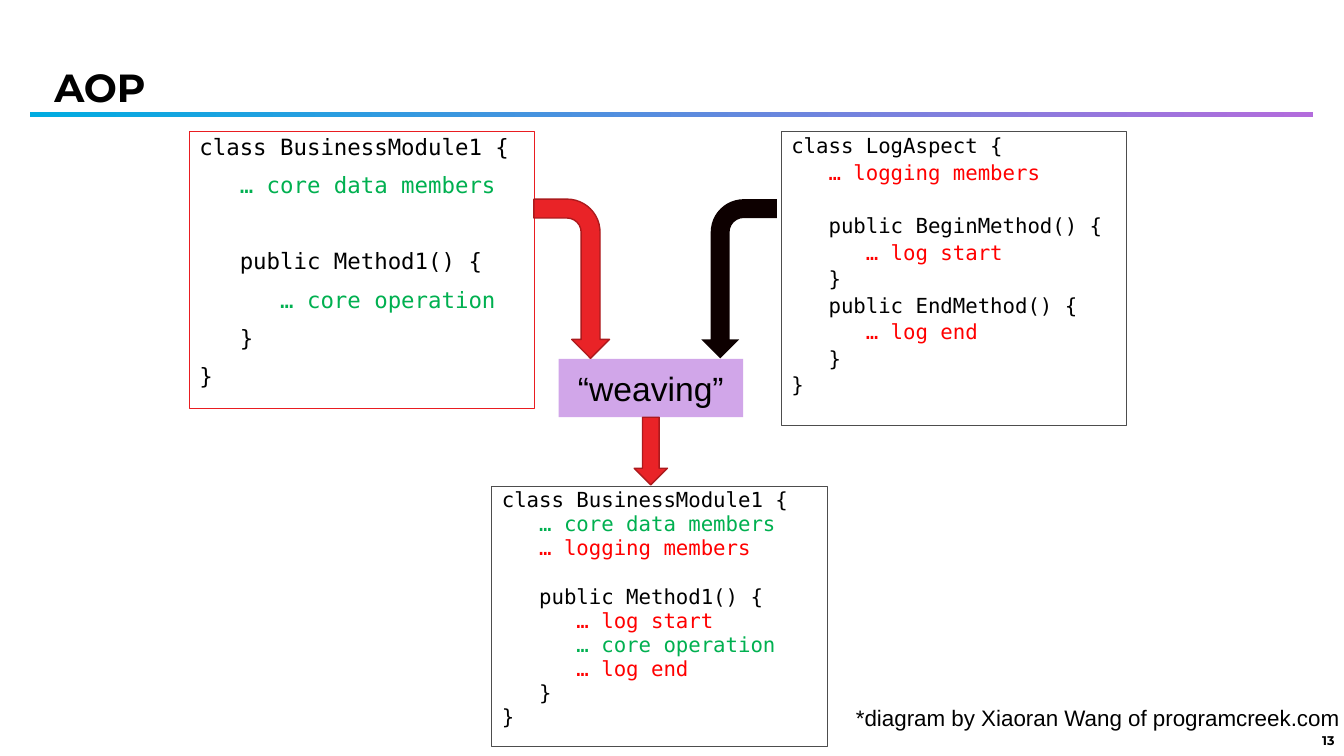
from pptx import Presentation
from pptx.dml.color import RGBColor
from pptx.enum.shapes import MSO_SHAPE as SHAPE
from pptx.enum.text import MSO_ANCHOR as ANCHOR, PP_ALIGN as ALIGN
from pptx.util import Inches, Pt

BLACK, GREEN, RED = "000000", "00B050", "FF0000"
ARROW_RED, ARROW_EDGE, ARROW_BLACK = "E92327", "AC1A1D", "0D0000"
BOX_RED, BOX_GREY = "E91D21", "4D4D4D"

# Each code line is its text and colour
BUSINESS = [
    ("class BusinessModule1 {", BLACK),
    ("   … core data members", GREEN),
    ("   ", BLACK),
    ("   public Method1() {", BLACK),
    ("      … core operation", GREEN),
    ("   }", BLACK),
    ("}", BLACK),
]
ASPECT = [
    ("class LogAspect {", BLACK),
    ("   … logging members", RED),
    ("   ", BLACK),
    ("   public BeginMethod() {", BLACK),
    ("      … log start", RED),
    ("   }", BLACK),
    ("   public EndMethod() {", BLACK),
    ("      … log end", RED),
    ("   }", BLACK),
    ("}", BLACK),
]
WOVEN = [
    ("class BusinessModule1 {", BLACK),
    ("   … core data members", GREEN),
    ("   … logging members", RED),
    ("   ", BLACK),
    ("   public Method1() {", BLACK),
    ("      … log start", RED),
    ("      … core operation", GREEN),
    ("      … log end", RED),
    ("   }", BLACK),
    ("}", BLACK),
]


def rgb(value):
    return RGBColor.from_string(value)


def style(p, size, name, color=BLACK, bold=False):
    p.font.size = Pt(size)
    p.font.name = name
    p.font.color.rgb = rgb(color)
    p.font.bold = bold


def add_shape(s, kind, box, fill=None, line=None, width=1):
    sp = s.shapes.add_shape(kind, *map(Inches, box))
    sp.shadow.inherit = False
    if fill:
        sp.fill.solid()
        sp.fill.fore_color.rgb = rgb(fill)
    else:
        sp.fill.background()
    if line:
        sp.line.color.rgb = rgb(line)
        sp.line.width = Pt(width)
    else:
        sp.line.fill.background()
    return sp


def add_text(s, box, text, size, name, bold=False, align=ALIGN.LEFT,
             anchor=ANCHOR.TOP, wrap=True):
    tf = s.shapes.add_textbox(*map(Inches, box)).text_frame
    tf.word_wrap = wrap
    tf.vertical_anchor = anchor
    p = tf.paragraphs[0]
    p.text = text
    p.alignment = align
    style(p, size, name, bold=bold)


def add_code(s, box, lines, line, size, spacing, before):
    tf = add_shape(s, SHAPE.RECTANGLE, box, line=line, width=0.75).text_frame
    tf.word_wrap = True
    tf.vertical_anchor = ANCHOR.TOP
    for i, (text, color) in enumerate(lines):
        p = tf.add_paragraph() if i else tf.paragraphs[0]
        p.text = text
        p.alignment = ALIGN.LEFT
        p.line_spacing = spacing
        p.space_before = Pt(before if i else 0)
        style(p, size, "DejaVu Sans Mono", color)


def add_bent_arrow(s, left, fill, line=None, mirrored=False):
    sp = add_shape(s, SHAPE.BENT_ARROW, (left, 2.39, 1.58, 0.75), fill, line)
    sp.rotation = 90
    if mirrored:
        sp.element.spPr.xfrm.set("flipV", "1")


def add_rule(s):
    sp = add_shape(s, SHAPE.RECTANGLE, (0.3, 1.11, 12.72, 0.05))
    sp.fill.gradient()
    sp.fill.gradient_angle = 0
    for stop, color in zip(sp.fill.gradient_stops, ("00ACE1", "B36CDC")):
        stop.color.rgb = rgb(color)


def add_weaving(s):
    sp = add_shape(s, SHAPE.RECTANGLE, (5.54, 3.56, 1.83, 0.58), "D1A6E9")
    tf = sp.text_frame
    tf.vertical_anchor = ANCHOR.MIDDLE
    p = tf.paragraphs[0]
    p.text = "“weaving”"
    p.alignment = ALIGN.CENTER
    style(p, 24, "Arial")


def main():
    prs = Presentation()
    prs.slide_width, prs.slide_height = Inches(13.33), Inches(7.5)
    s = prs.slides.add_slide(prs.slide_layouts[6])

    # Title, rule and page number
    add_rule(s)
    add_text(s, (0.44, 0.56, 11.35, 0.6), "AOP", 28, "Montserrat", bold=True,
             anchor=ANCHOR.MIDDLE)
    add_text(s, (12.98, 7.21, 0.39, 0.28), "13", 9, "Montserrat", bold=True,
             align=ALIGN.CENTER, anchor=ANCHOR.MIDDLE)

    # Code going in and coming out
    add_code(s, (1.88, 1.3, 3.42, 2.75), BUSINESS, BOX_RED, 16, 0.9, 10)
    add_code(s, (7.75, 1.3, 3.42, 2.92), ASPECT, BOX_GREY, 14.8, 0.9, 3)
    add_code(s, (4.88, 4.83, 3.33, 2.58), WOVEN, BOX_GREY, 14.8, 0.8, 3)

    # Weaving step and its arrows
    add_weaving(s)
    add_bent_arrow(s, 4.88, ARROW_RED, ARROW_EDGE)
    add_bent_arrow(s, 6.54, ARROW_BLACK, mirrored=True)
    add_shape(s, SHAPE.DOWN_ARROW, (6.29, 4.14, 0.33, 0.67), ARROW_RED,
              ARROW_EDGE)

    # Credit for the diagram
    add_text(s, (8.39, 6.94, 5.32, 0.37),
             "*diagram by Xiaoran Wang of programcreek.com", 16, "Arial",
             wrap=False)
    prs.save("out.pptx")


if __name__ == "__main__":
    main()
